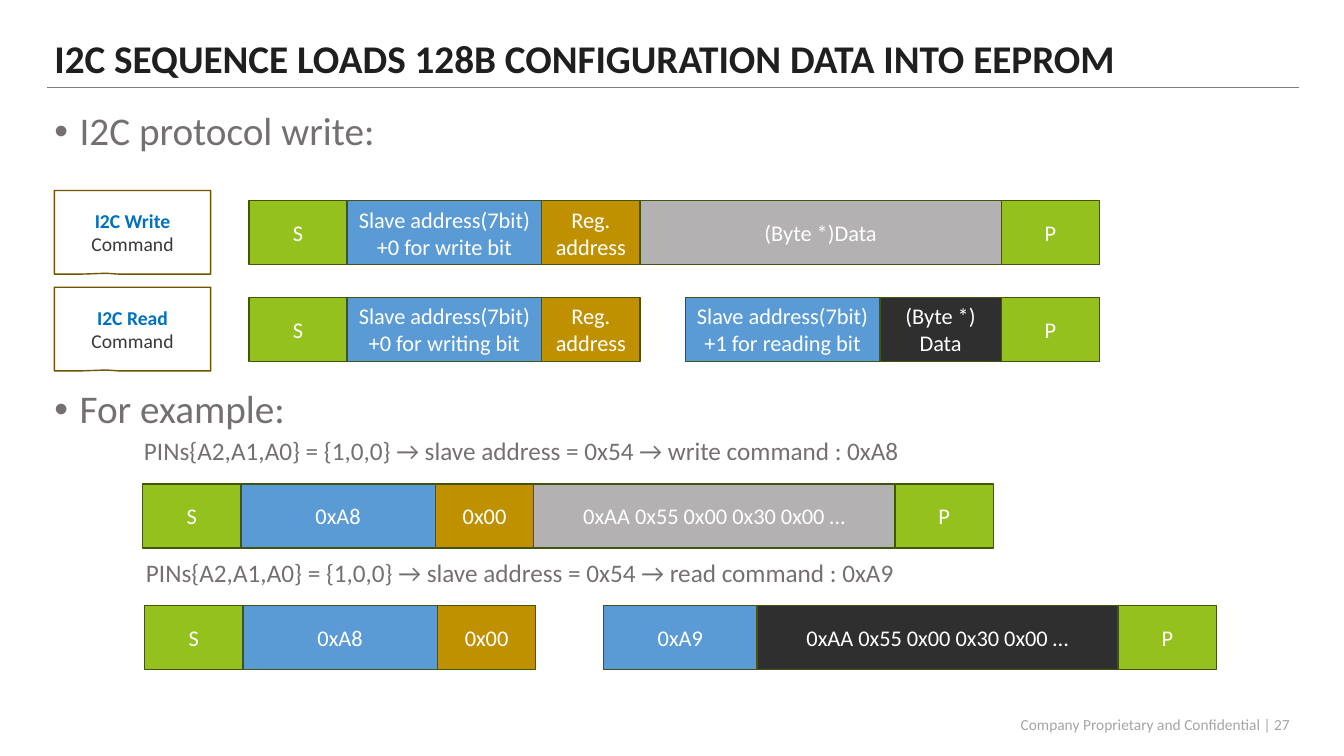
from lxml.etree import SubElement
from pptx import Presentation
from pptx.dml.color import RGBColor
from pptx.enum.shapes import MSO_CONNECTOR, MSO_SHAPE
from pptx.enum.text import MSO_ANCHOR, MSO_AUTO_SIZE, PP_ALIGN
from pptx.oxml.ns import qn
from pptx.util import Inches, Pt

PX = 4572
FONT = "Calibri"
WHITE = RGBColor(0xFF, 0xFF, 0xFF)
TITLE_INK = RGBColor(0x20, 0x1F, 0x1F)
BODY_INK = RGBColor(0x75, 0x70, 0x70)
FOOTER_INK = RGBColor(0xA6, 0xA4, 0xA4)
RULE_GRAY = RGBColor(0x7F, 0x7E, 0x7E)
GREEN = RGBColor(0x95, 0xC1, 0x1F)
BLUE = RGBColor(0x5B, 0x9B, 0xD5)
GOLD = RGBColor(0xBF, 0x90, 0x00)
GRAY = RGBColor(0xB3, 0xB1, 0xB1)
BLACK = RGBColor(0x2F, 0x2F, 0x2F)
CELL_EDGE = RGBColor(0x41, 0x55, 0x0E)
CALLOUT_EDGE = RGBColor(0x70, 0x54, 0x00)
CALLOUT_BLUE = RGBColor(0x00, 0x70, 0xC0)
CALLOUT_INK = RGBColor(0x3A, 0x38, 0x38)

FLAG, ADDRESS, REGISTER, DATA = 195, 386, 195, 717
CELL_HEIGHT = 127
START = ("S", FLAG, GREEN)
STOP = ("P", FLAG, GREEN)
REG_ADDRESS = ("Reg. address", REGISTER, GOLD)
REG_ZERO = ("0x00", REGISTER, GOLD)
WRITE_CODE = ("0xA8", ADDRESS, BLUE)
BYTES = "0xAA 0x55 0x00 0x30 0x00 …"


def gap(width):
    return None, width, None


def px(*lengths):
    return [length * PX for length in lengths]


def add_text(frame, text, size, color, bold=False, align=PP_ALIGN.LEFT,
             spacing=None, bullet=False):
    for line in text.split("\n"):
        para = frame.paragraphs[-1]
        if para.runs:
            para = frame.add_paragraph()
        para.alignment = align
        if spacing:
            para.line_spacing = spacing
            para.space_before = Pt(0)
        if bullet:
            properties = para._p.get_or_add_pPr()
            properties.set("marL", str(Inches(0.25)))
            properties.set("indent", str(Inches(-0.25)))
            SubElement(properties, qn("a:buChar")).set("char", "•")
        span = para.add_run()
        span.text = text if "\n" not in text else line
        span.font.name = FONT
        span.font.size = Pt(size)
        span.font.bold = bold
        span.font.color.rgb = color


def fill_placeholder(holder, bounds, text, anchor, **text_format):
    holder.left, holder.top, holder.width, holder.height = px(*bounds)
    frame = holder.text_frame
    frame.auto_size = MSO_AUTO_SIZE.NONE
    frame.vertical_anchor = anchor
    add_text(frame, text, spacing=0.9, **text_format)


def add_label(page, bounds, text, anchor=MSO_ANCHOR.TOP, **text_format):
    frame = page.shapes.add_textbox(*px(*bounds)).text_frame
    frame.word_wrap = True
    frame.vertical_anchor = anchor
    add_text(frame, text, **text_format)


def add_block(page, kind, bounds, edge, fill=None):
    block = page.shapes.add_shape(kind, *px(*bounds))
    block.shadow.inherit = False
    block.line.color.rgb = edge
    block.line.width = Pt(1)
    if fill is None:
        block.fill.background()
    else:
        block.fill.solid()
        block.fill.fore_color.rgb = fill
    block.text_frame.word_wrap = True
    block.text_frame.vertical_anchor = MSO_ANCHOR.MIDDLE
    return block


def add_sequence(page, left, top, cells):
    for text, width, color in cells:
        if text:
            cell = add_block(page, MSO_SHAPE.RECTANGLE,
                             (left, top, width, CELL_HEIGHT), CELL_EDGE, color)
            add_text(cell.text_frame, text, 16, WHITE, align=PP_ALIGN.CENTER)
        left += width


def add_command(page, left, top, name, cells):
    callout = add_block(page, MSO_SHAPE.RECTANGULAR_CALLOUT,
                        (left, top, 310, 166), CALLOUT_EDGE)
    callout.adjustments[0] = -0.17
    callout.adjustments[1] = 0.49
    frame = callout.text_frame
    add_text(frame, name, 14, CALLOUT_BLUE, bold=True, align=PP_ALIGN.CENTER)
    add_text(frame, "Command", 14, CALLOUT_INK, align=PP_ALIGN.CENTER)
    add_sequence(page, left + 386, top + 20, cells)


def add_example(page, left, top, command, cells):
    add_label(page, (left, top, 1890, 80),
              f"PINs{{A2,A1,A0}} = {{1,0,0}} → slave address = 0x54 → {command}",
              size=18, color=BODY_INK)
    add_sequence(page, left + 17, top + 106, cells)


def add_frame(page):
    rule = page.shapes.add_connector(MSO_CONNECTOR.STRAIGHT, *px(94, 174, 2578, 174))
    rule.line.color.rgb = RULE_GRAY
    rule.line.width = Pt(1)
    SubElement(rule._element.spPr, qn("a:effectLst"))
    add_label(page, (1670, 1412, 910, 52), "Company Proprietary and Confidential | 27",
              anchor=MSO_ANCHOR.MIDDLE, size=11, color=FOOTER_INK, align=PP_ALIGN.RIGHT)


def build_protocol_page(page):
    title, write_heading, example_heading = page.placeholders
    add_frame(page)
    fill_placeholder(title, (88, 66, 2214, 108),
                     "I2C SEQUENCE LOADS 128B CONFIGURATION DATA INTO EEPROM",
                     MSO_ANCHOR.MIDDLE, size=28, color=TITLE_INK, bold=True)
    for holder, top, text in ((write_heading, 212, "I2C protocol write:"),
                              (example_heading, 764, "For example:")):
        fill_placeholder(holder, (88, top, 2490, 126), text, MSO_ANCHOR.TOP,
                         size=28, color=BODY_INK, bullet=True)

    add_command(page, 108, 378, "I2C Write", [
        START, ("Slave address(7bit)\n+0 for write bit", ADDRESS, BLUE), REG_ADDRESS,
        ("(Byte *)Data", DATA, GRAY), STOP])
    add_command(page, 108, 570, "I2C Read", [
        START, ("Slave address(7bit)\n+0 for writing bit", ADDRESS, BLUE), REG_ADDRESS,
        gap(90), ("Slave address(7bit)\n+1 for reading bit", ADDRESS, BLUE),
        ("(Byte *) Data", 241, BLACK), STOP])
    add_example(page, 266, 854, "write command : 0xA8", [
        START, WRITE_CODE, REG_ZERO, (BYTES, DATA, GRAY), STOP])
    add_example(page, 270, 1095, "read command : 0xA9", [
        START, WRITE_CODE, REG_ZERO, gap(135),
        ("0xA9", 304, BLUE), (BYTES, DATA, BLACK), STOP])


def main():
    deck = Presentation()
    deck.slide_width, deck.slide_height = px(2667, 1500)
    build_protocol_page(deck.slides.add_slide(deck.slide_layouts[3]))
    deck.save("out.pptx")


if __name__ == "__main__":
    main()
